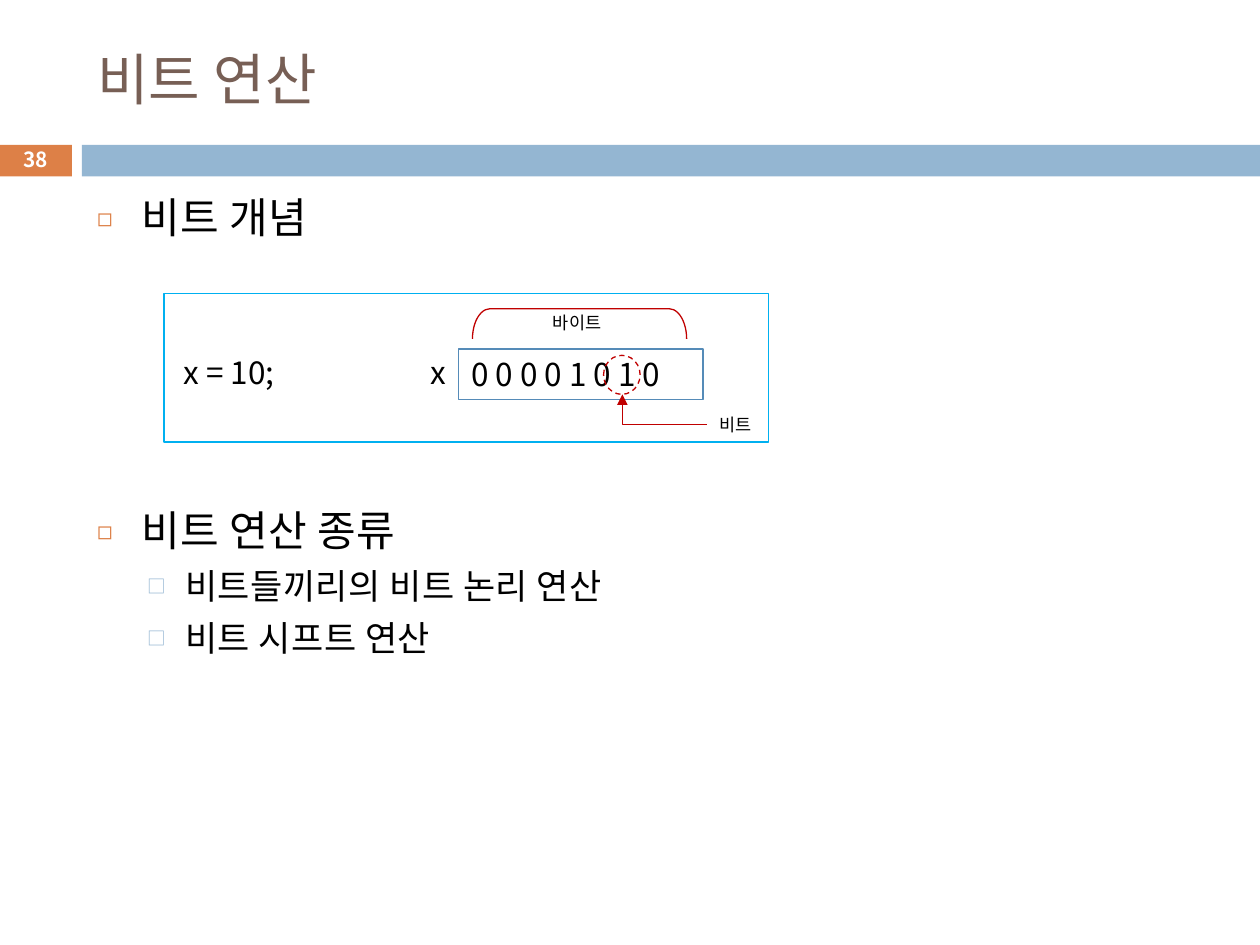
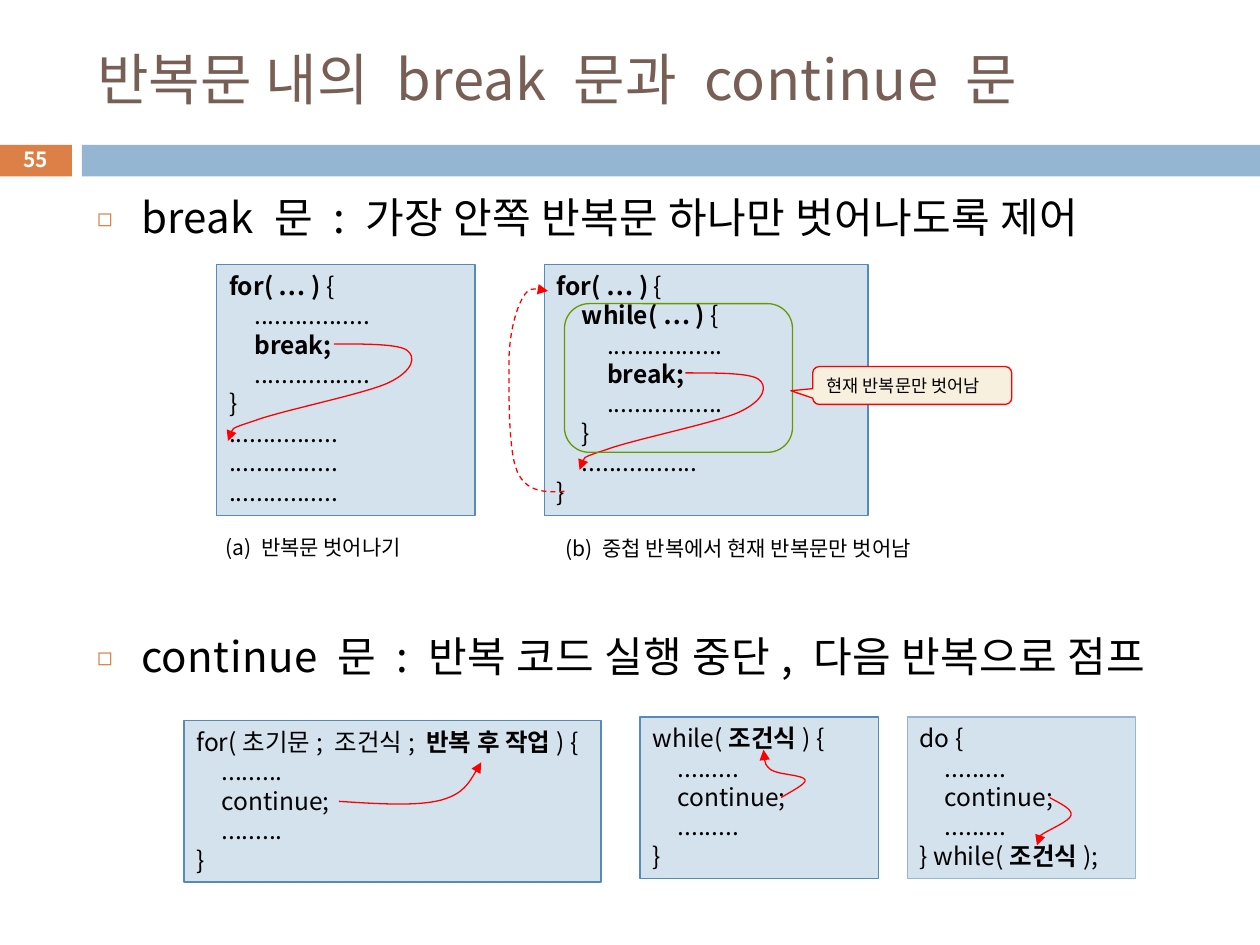
import pptx
import pptx.util
import pptx.dml.color
import pptx.oxml
import pptx.oxml.ns
import pptx.enum.dml
import pptx.enum.shapes
import pptx.enum.text

PX = 9144  # EMU in one px, 100 px to the inch
FONT = "Noto Sans CJK KR"
BROWN, ORANGE, BAND_BLUE = "775F55", "DD8047", "94B6D2"
CODE_FILL, CODE_LINE = "D4E2ED", "558BB8"
RED, DARK_RED, BLACK, WHITE = "FF0000", "C00000", "000000", "FFFFFF"
LINE_HEIGHT = 1.2
TRACKING = "25"  # letter spacing of titles and lists, 1/100 pt
SHAPE = pptx.enum.shapes.MSO_SHAPE
ANCHOR = pptx.enum.text.MSO_ANCHOR
ALIGN = pptx.enum.text.PP_ALIGN

# Curves of the jump arrows: bezier points relative to their start
BREAK_JUMP = [(0, 0), (25, 0), (51, 0), (58, 5), (65, 10), (64, 21), (43, 31),
              (23, 40), (-42, 53), (-63, 61), (-85, 68), (-84, 73), (-84, 77)]
OUTER_LOOP = [(0, 0), (-15, 1), (-31, 1), (-38, -17), (-45, -35), (-44, -84),
              (-44, -107), (-43, -129), (-38, -145), (-33, -154), (-28, -162),
              (-20, -161), (-13, -159)]
FOR_JUMP = [(0, 0), (31, 2), (62, 4), (81, -1), (99, -6), (106, -19), (113, -31)]
WHILE_JUMP = [(0, 0), (10, -6), (20, -11), (19, -14), (18, -18), (-2, -18),
              (-8, -22), (-13, -26), (-14, -32), (-14, -38)]
DO_JUMP = [(0, 0), (9, 5), (18, 9), (17, 14), (16, 19), (-2, 26), (-7, 30),
           (-11, 34), (-10, 36), (-10, 38)]

# Code samples: a tab is one indent, text between bars is bold
DOTS, LONG_DOTS = "." * 9, "." * 17
FOR_BREAK = ["|for( … ) |{", "\t" + LONG_DOTS, "\t|break;|", "\t" + LONG_DOTS,
             "}"] + ["." * 16] * 3
NESTED_BREAK = ["|for( … ) |{", "\t|while( … ) |{", "\t\t" + LONG_DOTS,
                "\t\t|break;|", "\t\t" + LONG_DOTS, "\t}", "\t" + LONG_DOTS, "}"]
CONTINUE_BODY = ["\t" + DOTS, "\tcontinue;", "\t" + DOTS]


def color(hex_text):
    return pptx.dml.color.RGBColor.from_string(hex_text)


def px(*lengths):
    return [pptx.util.Emu(length * PX) for length in lengths]


def add_xml(parent, tag, **attributes):
    node = pptx.oxml.parse_xml(f"<a:{tag} {pptx.oxml.ns.nsdecls('a')}/>")
    for name, value in attributes.items():
        node.set(name, value)
    parent.append(node)
    return node


def style_line(line, hex_text, width=0.75, dashed=False, arrow=False):
    line.color.rgb = color(hex_text)
    line.width = pptx.util.Pt(width)
    if dashed:
        line.dash_style = pptx.enum.dml.MSO_LINE.DASH
    if arrow:
        add_xml(line._get_or_add_ln(), "tailEnd", type="triangle")


def style_para(para, size, hex_text=BLACK, bold=None, tracking=None):
    para.line_spacing = pptx.util.Pt(round(size * LINE_HEIGHT, 2))
    for span in para.runs:
        span.font.size = pptx.util.Pt(size)
        span.font.color.rgb = color(hex_text)
        span.font.name = FONT
        if bold is not None:
            span.font.bold = bold
        if tracking:
            span.font._element.set("spc", tracking)
        add_xml(span.font._element, "ea", typeface=FONT)


def add_box(page, box, kind=SHAPE.RECTANGLE, fill=None, line=None, width=0.75,
            dashed=False, adjust=()):
    shape = page.shapes.add_shape(kind, *px(*box))
    shape.shadow.inherit = False
    if fill:
        shape.fill.solid()
        shape.fill.fore_color.rgb = color(fill)
    else:
        shape.fill.background()
    if line:
        style_line(shape.line, line, width, dashed)
    else:
        shape.line.fill.background()
    for index, value in enumerate(adjust):
        shape.adjustments[index] = value
    return shape


def write(shape, text, size, hex_text=BLACK, bold=None, align=ALIGN.LEFT,
          anchor=ANCHOR.TOP, tracking=None):
    frame = shape.text_frame
    frame.word_wrap = True
    frame.vertical_anchor = anchor
    frame.text = text
    frame.paragraphs[0].alignment = align
    style_para(frame.paragraphs[0], size, hex_text, bold, tracking)


def add_label(page, box, text, size, **style):
    write(page.shapes.add_textbox(*px(*box)), text, size, **style)


def add_code(page, box, lines, line=CODE_LINE):
    shape = add_box(page, box, fill=CODE_FILL, line=line)
    frame = shape.text_frame
    frame.word_wrap = True
    frame.vertical_anchor = ANCHOR.TOP
    for index, code in enumerate(lines):
        para = frame.add_paragraph() if index else frame.paragraphs[0]
        para.alignment = ALIGN.LEFT
        indent = 20 * code.count("\t")
        para._p.get_or_add_pPr().set("marL", str(indent * PX))
        for part, text in enumerate(code.strip("\t").split("|")):
            if text:
                span = para.add_run()
                span.text = text
                span.font.bold = part % 2 == 1
        style_para(para, 14)


def add_jump(page, left, top, curve, dashed=False):
    """Draw an arrow along joined cubic curves that start at (left, top)."""
    points = [((left + x) * PX, (top + y) * PX) for x, y in curve]
    builder = page.shapes.build_freeform(*points[0])
    builder.add_line_segments(points[1:], close=False)
    shape = builder.convert_to_shape()
    # Every three corners become one cubic curve
    corners = list(shape._element.iter(pptx.oxml.ns.qn("a:lnTo")))
    outline = corners[0].getparent()
    for first in range(0, len(corners), 3):
        cubic = add_xml(outline, "cubicBezTo")
        for corner in corners[first:first + 3]:
            cubic.append(corner[0])
            outline.remove(corner)
    shape.shadow.inherit = False
    shape.fill.background()
    style_line(shape.line, RED, dashed=dashed, arrow=True)


def place(holder, box):
    holder.left, holder.top, holder.width, holder.height = px(*box)
    holder.text_frame.auto_size = pptx.enum.text.MSO_AUTO_SIZE.NONE


def add_page(deck, title, number, items):
    """Items are (level, text, space before in points)."""
    page = deck.slides.add_slide(deck.slide_layouts[1])
    # Bands and page number
    add_box(page, (-1, 115, 58, 25), fill=ORANGE)
    add_box(page, (65, 115, 935, 25), fill=BAND_BLUE)
    add_label(page, (-1, 113, 58, 27), number, 11.9, hex_text=WHITE, bold=True,
              align=ALIGN.CENTER, anchor=ANCHOR.MIDDLE)
    # Title and list
    place(page.shapes.title, (67, 25, 892, 74))
    write(page.shapes.title, title, 32, BROWN, anchor=ANCHOR.MIDDLE, tracking=TRACKING)
    body = page.placeholders[1]
    place(body, (67, 147, 892, 551))
    body.text_frame.text = "\n".join(text for _, text, _ in items)
    levels = [(24, 35, 35, ORANGE, "60000", "◻"), (20, 70, 30, BAND_BLUE, "53000", "□")]
    for para, (level, _, before) in zip(body.text_frame.paragraphs, items):
        size, margin, hang, bullet_color, bullet_size, bullet = levels[level]
        para.level = level
        para.space_before = pptx.util.Pt(before)
        style_para(para, size, tracking=TRACKING)
        props = para._p.get_or_add_pPr()
        props.set("marL", str(margin * PX))
        props.set("indent", str(-hang * PX))
        add_xml(add_xml(props, "buClr"), "srgbClr", val=bullet_color)
        add_xml(props, "buSzPct", val=bullet_size)
        add_xml(props, "buFont", typeface=FONT)
        add_xml(props, "buChar", char=bullet)
    return page


def draw_bit_diagram(page, left, top):
    add_box(page, (left, top, 480, 118), fill=WHITE, line="00B0F0", width=1)
    add_label(page, (left + 6, top + 42, 110, 40), "x = 10;", 18)
    # Variable and its bits
    add_label(page, (left + 202, top + 42, 32, 40), "x", 18)
    bits = add_box(page, (left + 234, top + 44, 194, 40), line=CODE_LINE)
    write(bits, "0 0 0 0 1 0 1 0", 18)
    # Byte bracket
    bracket = add_box(page, (left + 318, top - 61, 24, 170), SHAPE.RIGHT_BRACKET,
                      line=DARK_RED, adjust=[0.58])
    bracket.rotation = 270
    add_label(page, (left + 299, top + 10, 62, 27), "바이트", 10)
    # Single bit and its pointer
    add_box(page, (left + 349, top + 49, 29, 31), SHAPE.OVAL, line=DARK_RED, dashed=True)
    pointer = page.shapes.add_connector(
        pptx.enum.shapes.MSO_CONNECTOR.ELBOW,
        *px(left + 364, top + 80, left + 431, top + 104))
    props = pointer._element.spPr
    props.find(pptx.oxml.ns.qn("a:prstGeom")).set("prst", "bentConnector2")
    props.find(pptx.oxml.ns.qn("a:xfrm")).set("rot", str(180 * 60000))
    style_line(pointer.line, DARK_RED, arrow=True)
    add_xml(props, "effectLst")
    add_label(page, (left + 431, top + 91, 48, 27), "비트", 10)


def draw_break_samples(page, left, top):
    # Leaving a single loop
    add_code(page, (left, top, 205, 199), FOR_BREAK)
    add_jump(page, left + 93, top + 63, BREAK_JUMP)
    add_label(page, (left - 3, top + 209, 169, 30), "(a) 반복문 벗어나기", 12)
    # Leaving the inner loop
    nested = left + 260
    add_code(page, (nested, top, 257, 199), NESTED_BREAK)
    add_jump(page, nested + 112, top + 86, BREAK_JUMP)
    add_label(page, (nested + 7, top + 210, 351, 30),
              "(b) 중첩 반복에서 현재 반복문만 벗어남", 12)
    add_box(page, (nested + 16, top + 31, 181, 118), SHAPE.ROUNDED_RECTANGLE, line="669900")
    add_jump(page, nested + 16, top + 180, OUTER_LOOP, dashed=True)
    callout = add_box(page, (nested + 213, top + 81, 158, 30),
                      SHAPE.ROUNDED_RECTANGULAR_CALLOUT, fill="F7F0DE", line=RED,
                      adjust=[-0.61, 0.14, 0.17])
    write(callout, "현재 반복문만 벗어남", 10)


def draw_continue_samples(page, left, top):
    samples = [
        (0, 3, 331, "for(초기문; 조건식; |반복 후 작업|) {", "}", CODE_LINE, 123, FOR_JUMP),
        (362, 0, 189, "while(|조건식|) {", "}", CODE_LINE, 112, WHILE_JUMP),
        (574, 0, 181, "do {", "} while(|조건식|);", BAND_BLUE, 113, DO_JUMP),
    ]
    for x, y, width, head, foot, line, start, curve in samples:
        add_code(page, (left + x, top + y, width, 128), [head, *CONTINUE_BODY, foot], line)
        add_jump(page, left + x + start, top + y + 64, curve)


def main():
    deck = pptx.Presentation()
    deck.slide_width, deck.slide_height = px(1000, 750)

    page = add_page(deck, "비트 연산", "38", [
        (0, "비트 개념", 7), (0, "비트 연산 종류", 150.2),
        (1, "비트들끼리의 비트 논리 연산", 5.5), (1, "비트 시프트 연산", 5.5)])
    draw_bit_diagram(page, 130, 233)

    page = add_page(deck, "반복문 내의 break 문과 continue 문", "55", [
        (0, "break 문 : 가장 안쪽 반복문 하나만 벗어나도록 제어", 7),
        (0, "continue 문 : 반복 코드 실행 중단, 다음 반복으로 점프", 221.8)])
    draw_break_samples(page, 172, 210)
    draw_continue_samples(page, 146, 569)

    deck.save("out.pptx")


if __name__ == "__main__":
    main()
